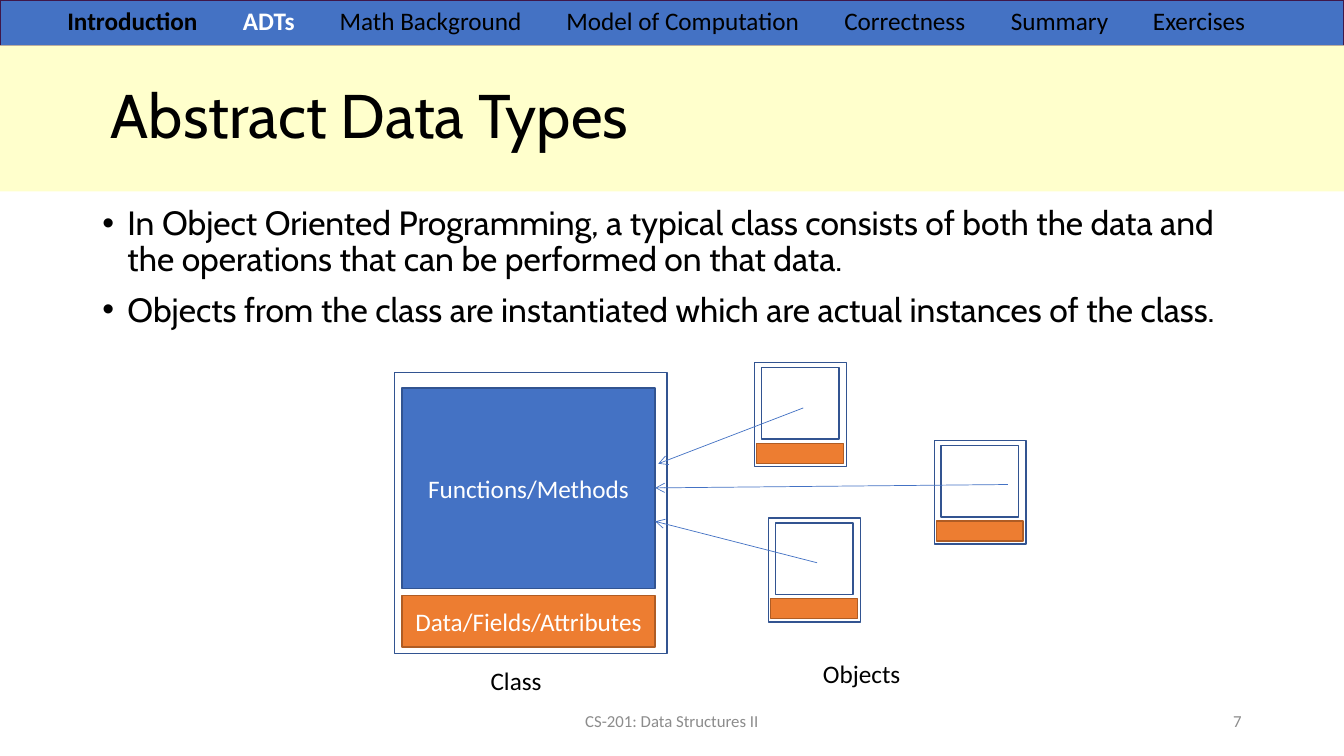
from dataclasses import dataclass
from typing import NamedTuple, Optional

from lxml.etree import SubElement
from pptx import Presentation
from pptx.dml.color import RGBColor
from pptx.enum.shapes import MSO_CONNECTOR, MSO_SHAPE
from pptx.enum.text import MSO_ANCHOR, PP_ALIGN
from pptx.oxml.ns import qn
from pptx.util import Pt

BLACK = RGBColor(0x00, 0x00, 0x00)
WHITE = RGBColor(0xFF, 0xFF, 0xFF)
GREY = RGBColor(0x8C, 0x8C, 0x8C)
CREAM = RGBColor(0xFF, 0xFF, 0xCC)
BLUE = RGBColor(0x44, 0x72, 0xC4)
DARK_BLUE = RGBColor(0x32, 0x54, 0x91)
ORANGE = RGBColor(0xED, 0x7D, 0x31)
DARK_ORANGE = RGBColor(0xAF, 0x5C, 0x24)
PLUM = RGBColor(0x3F, 0x17, 0x49)


class Area(NamedTuple):
    left: float
    top: float
    width: float
    height: float

    def lengths(self) -> list:
        return [Pt(value) for value in self]


@dataclass
class Style:
    size: float = 18
    color: RGBColor = BLACK
    font: str = "Calibri"
    bold: bool = False


@dataclass
class Block:
    area: Area
    fill: Optional[RGBColor] = None
    line: Optional[RGBColor] = DARK_BLUE
    text: str = ""


@dataclass
class Label:
    area: Area
    text: str
    style: Style
    align: PP_ALIGN = PP_ALIGN.CENTER
    anchor: MSO_ANCHOR = MSO_ANCHOR.TOP


class Section(NamedTuple):
    name: str
    tab: float
    style: Style


class Arrow(NamedTuple):
    start_x: float
    start_y: float
    end_x: float
    end_y: float


def add_run(paragraph, text: str, style: Style) -> None:
    run = paragraph.add_run()
    run.text = text
    run.font.name = style.font
    run.font.size = Pt(style.size)
    run.font.bold = style.bold
    run.font.color.rgb = style.color


def add_block(slide, block: Block):
    shape = slide.shapes.add_shape(MSO_SHAPE.RECTANGLE, *block.area.lengths())
    shape.shadow.inherit = False
    if block.fill is None:
        shape.fill.background()
    else:
        shape.fill.solid()
        shape.fill.fore_color.rgb = block.fill
    if block.line is None:
        shape.line.fill.background()
    else:
        shape.line.color.rgb = block.line
        shape.line.width = Pt(1)
    if block.text:
        shape.text_frame.vertical_anchor = MSO_ANCHOR.MIDDLE
        paragraph = shape.text_frame.paragraphs[0]
        paragraph.alignment = PP_ALIGN.CENTER
        add_run(paragraph, block.text, Style(color=WHITE))
    return shape


def add_text_frame(slide, area: Area):
    frame = slide.shapes.add_textbox(*area.lengths()).text_frame
    frame.word_wrap = True
    return frame


def add_label(slide, label: Label) -> None:
    frame = add_text_frame(slide, label.area)
    frame.vertical_anchor = label.anchor
    frame.paragraphs[0].alignment = label.align
    add_run(frame.paragraphs[0], label.text, label.style)


def add_navigation(slide, sections: list[Section]) -> None:
    paragraph = add_text_frame(slide, Area(41, 0, 919, 29)).paragraphs[0]
    tab_list = SubElement(paragraph._p.get_or_add_pPr(), qn("a:tabLst"))
    for section in sections:
        if section.tab:
            SubElement(tab_list, qn("a:tab"), pos=str(Pt(section.tab)), algn="l")
            section_text = "\t" + section.name
        else:
            section_text = section.name
        add_run(paragraph, section_text, section.style)


def add_title(slide, text: str) -> None:
    band = add_block(slide, Block(Area(0, 32.4, 960, 104.4), CREAM, None))
    frame = band.text_frame
    frame.margin_left = Pt(79.2)
    frame.vertical_anchor = MSO_ANCHOR.MIDDLE
    paragraph = frame.paragraphs[0]
    paragraph.alignment = PP_ALIGN.LEFT
    paragraph.line_spacing = 0.9
    add_run(paragraph, text, Style(44, BLACK, "Cabin"))


def add_bullets(slide, texts: list[str]) -> None:
    frame = add_text_frame(slide, Area(66, 144, 828, 342.7))
    for index, text in enumerate(texts):
        paragraph = frame.add_paragraph() if index else frame.paragraphs[0]
        properties = paragraph._p.get_or_add_pPr()
        properties.set("marL", str(Pt(18)))
        properties.set("indent", str(-Pt(18)))
        SubElement(properties, qn("a:buFont"), typeface="Arial")
        SubElement(properties, qn("a:buChar"), char="•")
        paragraph.line_spacing = 0.9
        paragraph.space_before = Pt(10 if index else 0)
        add_run(paragraph, text, Style(24, BLACK, "Cabin"))


def add_object(slide, left: float, top: float) -> None:
    add_block(slide, Block(Area(left + 1.6, top + 57.6, 61.9, 14.4), ORANGE, DARK_ORANGE))
    add_block(slide, Block(Area(left, top, 65.5, 74.2)))
    add_block(slide, Block(Area(left + 4.9, top + 3.6, 55.4, 51.1)))


def add_arrow(slide, arrow: Arrow) -> None:
    connector = slide.shapes.add_connector(
        MSO_CONNECTOR.STRAIGHT, *[Pt(value) for value in arrow])
    connector.line.color.rgb = BLUE
    connector.line.width = Pt(0.5)
    SubElement(connector.line._get_or_add_ln(), qn("a:tailEnd"), type="arrow")
    SubElement(connector._element.spPr, qn("a:effectLst"))


def main() -> None:
    presentation = Presentation()
    presentation.slide_width, presentation.slide_height = Pt(960), Pt(540)
    slide = presentation.slides.add_slide(presentation.slide_layouts[6])

    # Navigation bar, title and bullets
    add_block(slide, Block(Area(0, 0, 960, 32.4), BLUE, PLUM))
    add_title(slide, "Abstract Data Types")
    add_bullets(slide, [
        "In Object Oriented Programming, a typical class consists of both the data and "
        "the operations that can be performed on that data.",
        "Objects from the class are instantiated which are actual instances of the class.",
    ])
    add_navigation(slide, [
        Section("Introduction", 0, Style(bold=True)),
        Section("ADTs", 125.5, Style(color=WHITE, bold=True)),
        Section("Math Background", 194.5, Style()),
        Section("Model of Computation", 356.5, Style()),
        Section("Correctness", 555, Style()),
        Section("Summary", 674, Style()),
        Section("Exercises", 775.5, Style()),
    ])

    # Class with its two parts
    add_block(slide, Block(Area(287, 277.2, 181, 143.3), BLUE, DARK_BLUE, "Functions/Methods"))
    add_block(slide, Block(Area(287, 425.5, 181, 36.7), ORANGE, DARK_ORANGE,
                           "Data/Fields/Attributes"))
    add_block(slide, Block(Area(282, 266, 194.4, 201)))

    # Objects and their links to the class
    for left, top in [(539, 259), (667.4, 314.5), (549, 370)]:
        add_object(slide, left, top)
    for arrow in [Arrow(573.8, 291.4, 470.2, 331.2), Arrow(720, 346.1, 468, 348.5),
                  Arrow(583.7, 402, 468, 372.4)]:
        add_arrow(slide, arrow)

    # Captions and footer
    footer = Style(12, GREY)
    for label in [
        Label(Area(287.3, 471.6, 162.7, 23), "Class", Style()),
        Label(Area(534.2, 466.6, 162.7, 23), "Objects", Style()),
        Label(Area(318, 500.5, 324, 28.8), "CS-201: Data Structures II", footer,
              anchor=MSO_ANCHOR.MIDDLE),
        Label(Area(678, 500.5, 216, 28.8), "7", footer, PP_ALIGN.RIGHT, MSO_ANCHOR.MIDDLE),
    ]:
        add_label(slide, label)

    presentation.save("out.pptx")


if __name__ == "__main__":
    main()
